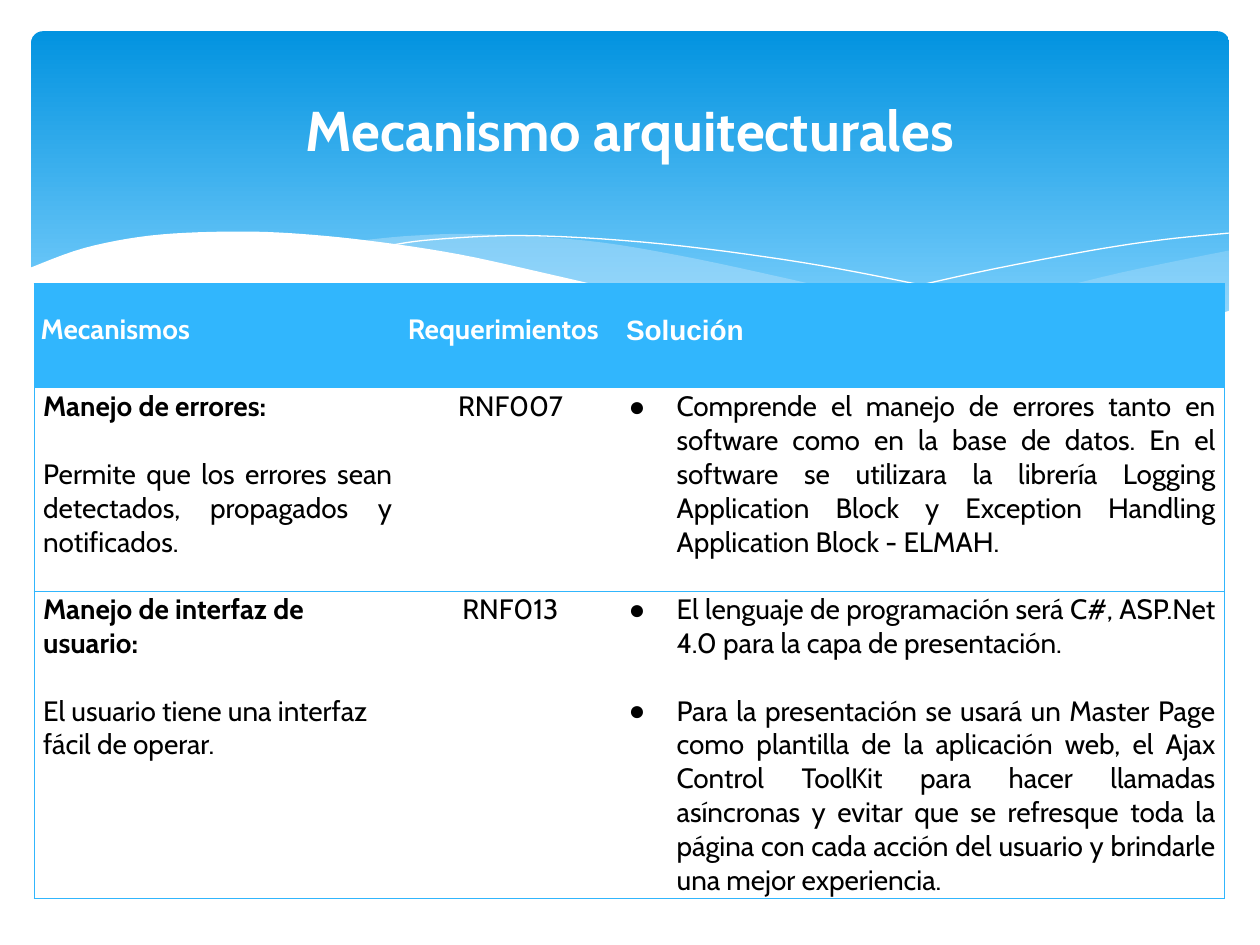
from lxml import etree
from pptx import Presentation
from pptx import util as u
from pptx.dml.color import RGBColor
from pptx.enum import shapes, text
from pptx.oxml import ns

WHITE = RGBColor(0xFF, 0xFF, 0xFF)
BLACK = RGBColor(0, 0, 0)
BLUE = RGBColor(0x31, 0xB6, 0xFD)
BAND_TOP = RGBColor(0x02, 0x93, 0xE0)
BAND_BOTTOM = RGBColor(0x83, 0xD3, 0xFE)
MIST = RGBColor(0xC6, 0xE7, 0xFC)

LEFT, CENTER, JUSTIFY = text.PP_ALIGN.LEFT, text.PP_ALIGN.CENTER, text.PP_ALIGN.JUSTIFY
PLAIN_TABLE = "{2D5ABB26-0587-4C30-8999-92F81FD0307C}"
BLANK_LINE = u.Pt(19.3)


def sub(parent, tag, **attrs):
    return etree.SubElement(parent, ns.qn(tag), attrs)


def smooth(knots, steps=6):
    """Catmull-Rom curve through the knots."""
    pts = [knots[0], *knots, knots[-1]]
    curve = [knots[0]]
    for a, b, c, d in zip(pts, pts[1:], pts[2:], pts[3:]):
        for i in range(1, steps + 1):
            t = i / steps
            curve.append(tuple(
                0.5 * (2 * q + (r - p) * t + (2 * p - 5 * q + 4 * r - s) * t ** 2
                       + (3 * q - p - 3 * r + s) * t ** 3)
                for p, q, r, s in zip(a, b, c, d)))
    return curve


class Deck:
    font, size = "Cabin", u.Pt(16)

    def __init__(self, prs):
        self.s = prs.slides.add_slide(prs.slide_layouts[5])

    def style(self, p, color, bold=False, size=None, font=None):
        f = p.font
        f.name, f.size, f.bold = font or self.font, size or self.size, bold
        f.color.rgb = color

    def band(self, x, y, w, h):
        sp = self.s.shapes.add_shape(shapes.MSO_SHAPE.ROUNDED_RECTANGLE,
                                     u.Cm(x), u.Cm(y), u.Cm(w), u.Cm(h))
        sp.adjustments[0] = 0.034
        sp.shadow.inherit = False
        sp.line.fill.background()
        sp.fill.gradient()
        sp.fill.gradient_angle = 270
        for stop, pos, color in zip(sp.fill.gradient_stops, (0, 0.9), (BAND_TOP, BAND_BOTTOM)):
            stop.position, stop.color.rgb = pos, color

    def outline(self, pts, closed):
        pts = [(u.Cm(x), u.Cm(y)) for x, y in pts]
        fb = self.s.shapes.build_freeform(*pts[0])
        fb.add_line_segments(pts[1:], close=closed)
        sp = fb.convert_to_shape()
        sp.shadow.inherit = False
        return sp

    def wave(self, pts, color, alpha=100):
        sp = self.outline(pts, True)
        sp.line.fill.background()
        sp.fill.solid()
        sp.fill.fore_color.rgb = color
        if alpha < 100:
            clr = sp.fill._xPr.find(".//" + ns.qn("a:srgbClr"))
            sub(clr, "a:alpha", val=str(alpha * 1000))

    def crest(self, knots):
        sp = self.outline(smooth(knots), False)
        sp.fill.background()
        sp.line.color.rgb = WHITE
        sp.line.width = 0

    def title(self, words, x, y, w, h):
        sp = self.s.shapes.title
        self.s.shapes._spTree.append(sp._element)  # bring in front of the band
        sp.left, sp.top, sp.width, sp.height = map(u.Cm, (x, y, w, h))
        tf = sp.text_frame
        tf.text = words
        tf.vertical_anchor = text.MSO_ANCHOR.MIDDLE
        p = tf.paragraphs[0]
        p.alignment, p.line_spacing = CENTER, 0.9
        self.style(p, WHITE, True, u.Pt(32))

    def table(self, x, y, cols, rows):
        tbl = self.s.shapes.add_table(len(rows), len(cols), u.Cm(x), u.Cm(y),
                                      u.Cm(sum(cols)), u.Cm(sum(rows))).table
        tbl._tbl.tblPr.find(ns.qn("a:tableStyleId")).text = PLAIN_TABLE
        tbl.first_row = tbl.horz_banding = False
        for col, w in zip(tbl.columns, cols):
            col.width = u.Cm(w)
        for row, h in zip(tbl.rows, rows):
            row.height = u.Cm(h)
        return tbl

    def cell(self, cell, sides, mx, my, fill=None):
        cell.margin_left = cell.margin_right = u.Cm(mx)
        cell.margin_top = cell.margin_bottom = u.Cm(my)
        for side in sides:
            ln = sub(cell._tc.get_or_add_tcPr(), "a:ln" + side, w=str(u.Pt(0.75)))
            sub(sub(ln, "a:solidFill"), "a:srgbClr", val=str(BLUE))
        if fill is None:
            cell.fill.background()
        else:
            cell.fill.solid()
            cell.fill.fore_color.rgb = fill

    def bullet(self, p):
        pPr = p._p.get_or_add_pPr()
        pPr.set("marL", str(u.Cm(0.97)))
        pPr.set("indent", str(-u.Cm(0.97)))
        sub(sub(pPr, "a:buClr"), "a:srgbClr", val=str(BLACK))
        sub(pPr, "a:buFont", typeface="Arial")
        sub(pPr, "a:buChar", char="●")

    def paragraphs(self, cell, items, align, bold_first=False, bullets=False):
        tf = cell.text_frame
        for i, words in enumerate(items):
            p = tf.add_paragraph() if i else tf.paragraphs[0]
            p.text = words
            if bullets:
                self.bullet(p)
            if i:
                p.space_before = BLANK_LINE
            head = bold_first and i == 0
            p.alignment = LEFT if head else align
            self.style(p, BLACK, head)


HEADERS = [("Mecanismos", "Cabin"), ("Requerimientos", "Cabin"), ("Solución", "Arial")]
# mechanism, its alignment, requirement, solutions
MECHANISMS = [
    (["Manejo de errores:",
      "Permite que los errores sean detectados, propagados y notificados."],
     JUSTIFY, "RNF007",
     ["Comprende el manejo de errores tanto en software como en la base de datos. "
      "En el software se utilizara la librería Logging Application Block y "
      "Exception Handling Application Block - ELMAH."]),
    (["Manejo de interfaz de usuario:", "El usuario tiene una interfaz fácil de operar."],
     LEFT, "RNF013",
     ["El lenguaje de programación será C#, ASP.Net 4.0 para la capa de presentación.",
      "Para la presentación se usará un Master Page como plantilla de la aplicación web, "
      "el Ajax Control ToolKit para hacer llamadas asíncronas y evitar que se refresque "
      "toda la página con cada acción del usuario y brindarle una mejor experiencia."]),
]


def main():
    prs = Presentation()
    prs.slide_width, prs.slide_height = u.Cm(25.4), u.Cm(19.05)
    d = Deck(prs)

    # Band with waves
    d.band(0.63, 0.63, 24.15, 6.86)
    d.wave(smooth([(24.78, 5.05), (22.63, 5.49), (20.45, 6.02), (18.52, 6.43), (16.79, 6.73)])
           + smooth([(16.79, 6.73), (18.59, 6.96), (20.4, 7.06), (22.15, 6.96),
                     (23.57, 6.68), (24.78, 6.27)]), MIST, 29)
    d.wave(smooth([(22.68, 6.93), (20.5, 6.6), (17.93, 6.1), (15.98, 5.64), (13.74, 5.16),
                   (11.81, 4.85), (9.65, 4.72), (8.33, 4.75), (7.26, 4.85)])
           + smooth([(7.26, 4.85), (9.19, 5.16), (11.4, 5.64), (13.46, 6.1), (15.7, 6.55),
                     (17.65, 6.86), (19.33, 7.04), (20.78, 7.06), (22.68, 6.93)]), MIST, 40)
    d.crest([(7.85, 4.95), (8.74, 4.83), (10.57, 4.75), (12.95, 4.88), (15.44, 5.18),
             (17.65, 5.56), (20.19, 6.12), (23.04, 6.91)])
    d.crest([(15.57, 6.53), (17.65, 5.97), (19.71, 5.49), (22, 5.05), (23.47, 4.83),
             (24.77, 4.7)])
    d.wave(smooth([(24.82, 6.25), (23.62, 6.65), (22.23, 6.93), (20.55, 7.04), (18.44, 6.91),
                   (15.9, 6.55), (13.44, 6.07), (11.35, 5.59), (9.27, 5.13), (7.42, 4.85),
                   (5.84, 4.7), (4.5, 4.67), (3.02, 4.75), (1.7, 5), (0.58, 5.41)])
           + [(0.58, 8.36), (24.82, 8.36)], WHITE)

    # Title
    d.title("Mecanismo arquitecturales", 1.27, 0.94, 22.86, 3.48)

    # Table: header row
    tbl = d.table(0.69, 5.72, [7.4, 4.4, 12.2], [2.11, 4.09, 6.2])
    outer = ["L", "", "R"]
    for c, (words, font) in enumerate(HEADERS):
        cell = tbl.cell(0, c)
        d.cell(cell, outer[c] + "T", 0.13, 0, BLUE)
        cell.vertical_anchor = text.MSO_ANCHOR.MIDDLE
        cell.text = words
        p = cell.text_frame.paragraphs[0]
        p.line_spacing = u.Pt(12)
        d.style(p, WHITE, True, font=font)

    # Table: one row per mechanism
    for r, (mechanism, align, requirement, solutions) in enumerate(MECHANISMS, 1):
        cells = [tbl.cell(r, c) for c in range(3)]
        for cell, side in zip(cells, outer):
            d.cell(cell, side + "B", 0.18, 0.03)
        d.paragraphs(cells[0], mechanism, align, bold_first=True)
        d.paragraphs(cells[1], [requirement], CENTER)
        d.paragraphs(cells[2], solutions, JUSTIFY, bullets=True)

    prs.save("out.pptx")


if __name__ == "__main__":
    main()
